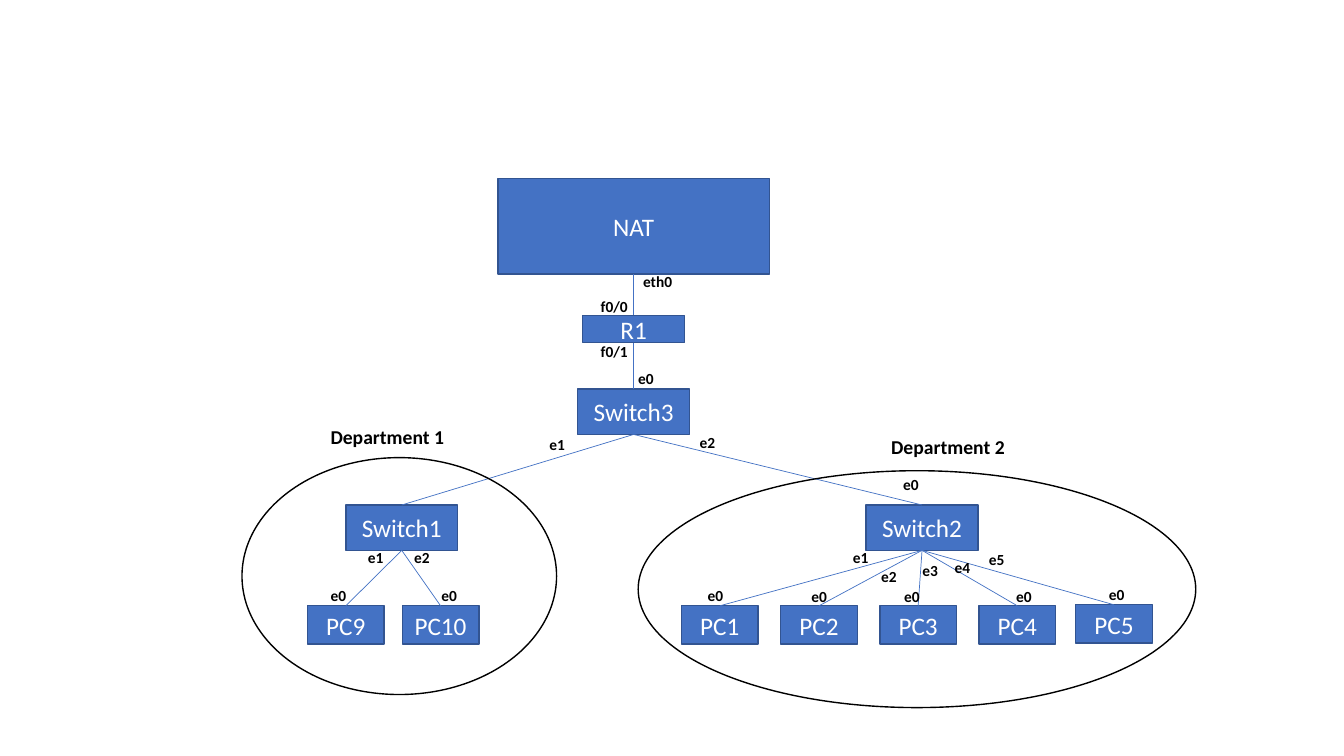
"""Draw a two-department network topology on one slide."""
from dataclasses import dataclass

from lxml import etree
from pptx import Presentation
from pptx.dml.color import RGBColor
from pptx.enum.shapes import MSO_CONNECTOR, MSO_SHAPE
from pptx.enum.text import MSO_ANCHOR, MSO_AUTO_SIZE, PP_ALIGN
from pptx.oxml.ns import qn
from pptx.shapes.autoshape import Shape
from pptx.slide import Slide
from pptx.text.text import TextFrame
from pptx.util import Inches, Pt

RECT, OVAL, STRAIGHT = MSO_SHAPE.RECTANGLE, MSO_SHAPE.OVAL, MSO_CONNECTOR.STRAIGHT
MIDDLE, CENTER, GROW = MSO_ANCHOR.MIDDLE, PP_ALIGN.CENTER, MSO_AUTO_SIZE.SHAPE_TO_FIT_TEXT
TOP_SITE, BOTTOM_SITE = 0, 2


@dataclass(frozen=True)
class Theme:
    font: str = "Calibri"
    fill: RGBColor = RGBColor(0x44, 0x72, 0xC4)
    border: RGBColor = RGBColor(0x32, 0x54, 0x91)
    white: RGBColor = RGBColor(255, 255, 255)
    black: RGBColor = RGBColor(0, 0, 0)
    device_size: int = 18
    port_size: int = 11
    department_size: int = 14
    border_width: float = 1
    link_width: float = 0.5


@dataclass(frozen=True)
class Device:
    name: str
    left: float
    top: float
    width: float
    height: float


@dataclass(frozen=True)
class Port:
    name: str
    left: float
    top: float


@dataclass(frozen=True)
class Department:
    name: str
    left: float
    top: float
    width: float
    label_left: float
    label_top: float


THEME = Theme()
SWITCH = (1.11, 0.45)
PC = (0.76, 0.38)
PC_TOP = 6.01
DEPARTMENT_HEIGHT = 2.35
PORT_BOX = (0.76, 0.29)
DEPARTMENT_BOX = (1.57, 0.34)

DEVICES = [
    Device("NAT", 4.94, 1.77, 2.69, 0.95),
    Device("R1", 5.78, 3.13, 1.01, 0.27),
    Device("Switch3", 5.73, 3.86, *SWITCH),
    Device("Switch1", 3.43, 5.01, *SWITCH),
    Device("Switch2", 8.59, 5.01, *SWITCH),
    Device("PC9", 3.05, PC_TOP, *PC),
    Device("PC10", 3.99, PC_TOP, *PC),
    *(Device(f"PC{i + 1}", 6.76 + 2.95 * i / 3, PC_TOP, *PC) for i in range(4)),
    Device("PC5", 10.67, 6, *PC),
]
CHILDREN = {
    "NAT": ["R1"],
    "R1": ["Switch3"],
    "Switch3": ["Switch1", "Switch2"],
    "Switch1": ["PC9", "PC10"],
    "Switch2": ["PC1", "PC2", "PC3", "PC4", "PC5"],
}
PORTS = [
    Port("eth0", 6.28, 2.65), Port("f0/0", 5.86, 2.9), Port("f0/1", 5.86, 3.34),
    Port("e0", 6.23, 3.61), Port("e1", 5.35, 4.27), Port("e2", 6.84, 4.25),
    Port("e1", 3.55, 5.39), Port("e2", 4.01, 5.39),
    Port("e0", 3.18, 5.77), Port("e0", 4.28, 5.77),
    Port("e0", 8.86, 4.66), Port("e1", 8.36, 5.39), Port("e2", 8.64, 5.58),
    Port("e3", 9.05, 5.52), Port("e4", 9.37, 5.49), Port("e5", 9.71, 5.41),
    Port("e0", 6.92, 5.77), Port("e0", 7.95, 5.78), Port("e0", 8.87, 5.78),
    Port("e0", 9.98, 5.78), Port("e0", 10.9, 5.76),
]
DEPARTMENTS = [
    Department("Department 1", 2.4, 4.54, 3.12, 3.18, 4.17),
    Department("Department 2", 6.33, 4.67, 5.53, 8.74, 4.27),
]


def write(tf: TextFrame, text: str, size: int, color: RGBColor, bold: bool = False) -> None:
    tf.text = text
    tf.word_wrap = True
    font = tf.paragraphs[0].runs[0].font
    font.name, font.size, font.bold = THEME.font, Pt(size), bold
    font.color.rgb = color


def add_device(s: Slide, device: Device) -> Shape:
    sp = s.shapes.add_shape(RECT, Inches(device.left), Inches(device.top),
                            Inches(device.width), Inches(device.height))
    sp.shadow.inherit = False
    sp.fill.solid()
    sp.fill.fore_color.rgb = THEME.fill
    sp.line.color.rgb = THEME.border
    sp.line.width = Pt(THEME.border_width)
    tf = sp.text_frame
    write(tf, device.name, THEME.device_size, THEME.white)
    tf.vertical_anchor = MIDDLE
    tf.paragraphs[0].alignment = CENTER
    return sp


def add_link(s: Slide, parent: Shape, child: Shape) -> None:
    link = s.shapes.add_connector(
        STRAIGHT, parent.left + parent.width // 2, parent.top + parent.height,
        child.left + child.width // 2, child.top)
    link.begin_connect(parent, BOTTOM_SITE)
    link.end_connect(child, TOP_SITE)
    link.line.color.rgb = THEME.fill
    link.line.width = Pt(THEME.link_width)
    etree.SubElement(link._element.spPr, qn("a:effectLst"))


def add_label(s: Slide, text: str, left: float, top: float,
              box: tuple[float, float], size: int) -> None:
    width, height = box
    sp = s.shapes.add_textbox(Inches(left), Inches(top), Inches(width), Inches(height))
    write(sp.text_frame, text, size, THEME.black, bold=True)
    sp.text_frame.auto_size = GROW


def add_department(s: Slide, department: Department) -> None:
    sp = s.shapes.add_shape(OVAL, Inches(department.left), Inches(department.top),
                            Inches(department.width), Inches(DEPARTMENT_HEIGHT))
    sp.shadow.inherit = False
    sp.fill.background()
    sp.line.color.rgb = THEME.black
    sp.line.width = Pt(THEME.border_width)
    add_label(s, department.name, department.label_left, department.label_top,
              DEPARTMENT_BOX, THEME.department_size)


def main() -> None:
    prs = Presentation()
    prs.slide_width, prs.slide_height = Inches(13.33), Inches(7.5)
    s = prs.slides.add_slide(prs.slide_layouts[6])
    shapes = {device.name: add_device(s, device) for device in DEVICES}
    for parent, children in CHILDREN.items():
        for child in children:
            add_link(s, shapes[parent], shapes[child])
    for port in PORTS:
        add_label(s, port.name, port.left, port.top, PORT_BOX, THEME.port_size)
    for department in DEPARTMENTS:
        add_department(s, department)
    prs.save("out.pptx")


if __name__ == "__main__":
    main()
